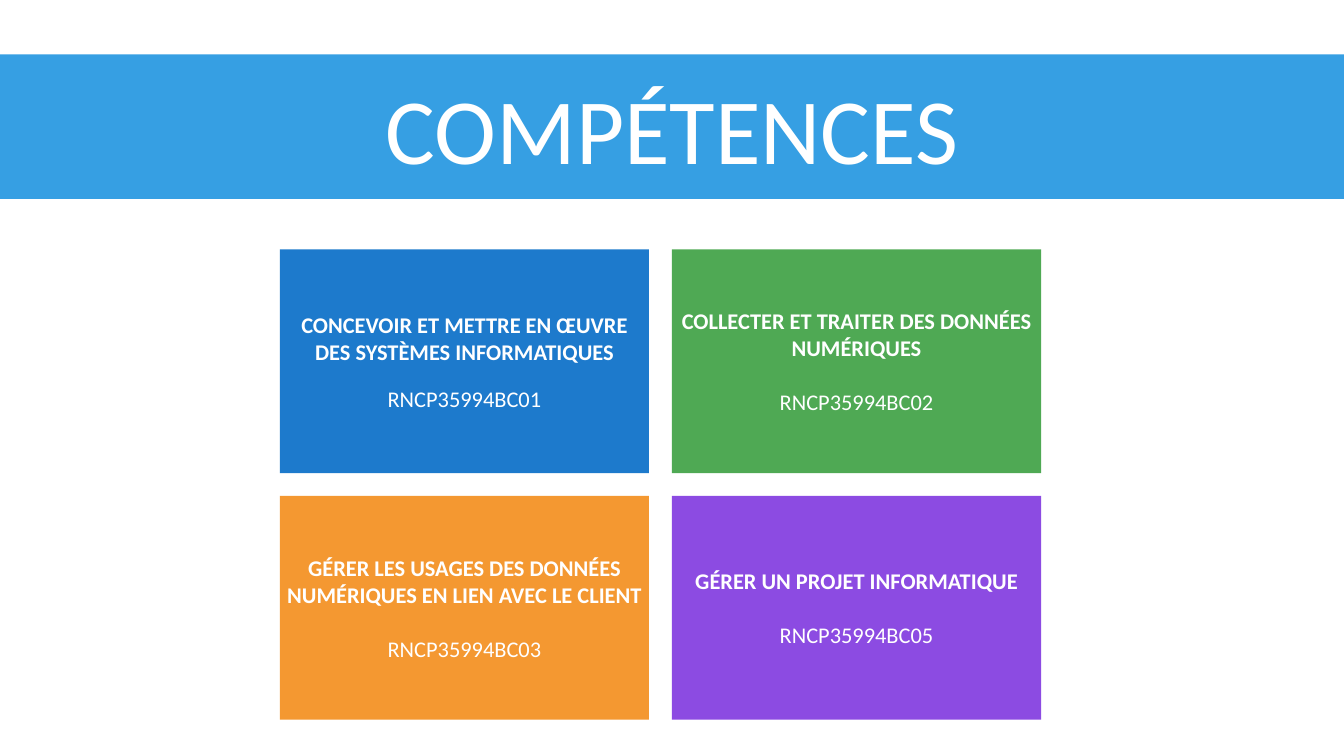
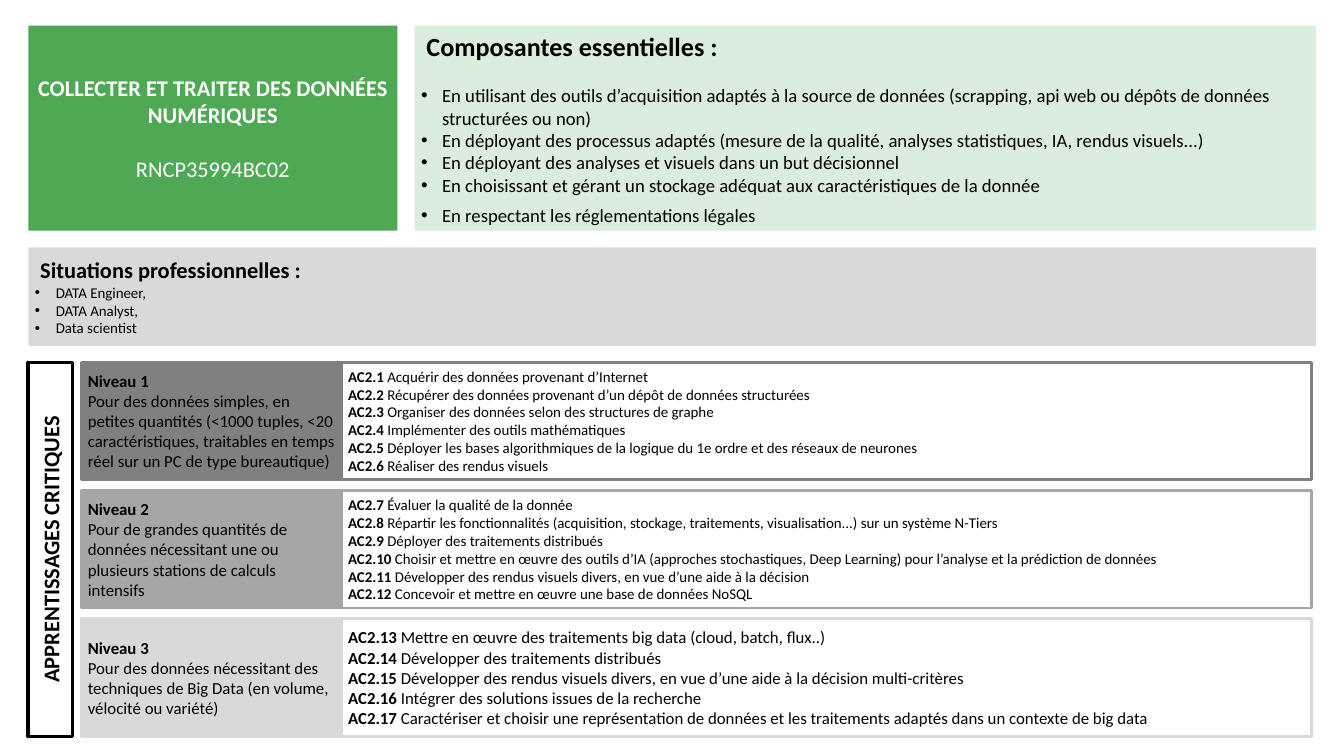
from lxml import etree
from pptx import Presentation
from pptx import util as u
from pptx.dml.color import RGBColor
from pptx.enum import shapes, text
from pptx.oxml import ns

FONT = "Calibri"
WHITE, BLACK = "FFFFFF", "000000"
BAND, BLUE, GREEN, ORANGE, PURPLE = "369FE3", "1D7ACC", "4FA954", "F49831", "8C4BE2"
DARK_GREY, MID_GREY, LIGHT_GREY = "808080", "A6A6A6", "D9D9D9"
CARD_WIDTH = 13.95
MARGIN = 1.07

COLLECT = ("COLLECTER ET TRAITER DES DONNÉES NUMÉRIQUES", "RNCP35994BC02", GREEN, 29)
SKILLS = [
    ("CONCEVOIR ET METTRE EN ŒUVRE DES SYSTÈMES INFORMATIQUES", "RNCP35994BC01", BLUE, 22),
    COLLECT,
    ("GÉRER LES USAGES DES DONNÉES NUMÉRIQUES EN LIEN AVEC LE CLIENT", "RNCP35994BC03", ORANGE, 29),
    ("GÉRER UN PROJET INFORMATIQUE", "RNCP35994BC05", PURPLE, 29),
]
COMPONENTS = [
    "En utilisant des outils d’acquisition adaptés à la source de données (scrapping, api web ou dépôts de données structurées ou non)",
    "En déployant des processus adaptés (mesure de la qualité, analyses statistiques, IA, rendus visuels...)",
    "En déployant des analyses et visuels dans un but décisionnel",
    "En choisissant et gérant un stockage adéquat aux caractéristiques de la donnée",
    "En respectant les réglementations légales",
]
JOBS = ["DATA Engineer,", "DATA Analyst,", "Data scientist"]
LEVELS = [
    (DARK_GREY, 16, "Pour des données simples, en petites quantités (<1000 tuples, <20 caractéristiques, traitables en temps réel sur un PC de type bureautique)", [
        "Acquérir des données provenant d’Internet",
        "Récupérer des données provenant d’un dépôt de données structurées",
        "Organiser des données selon des structures de graphe",
        "Implémenter des outils mathématiques",
        "Déployer les bases algorithmiques de la logique du 1e ordre et des réseaux de neurones",
        "Réaliser des rendus visuels",
    ]),
    (MID_GREY, 16, "Pour de grandes quantités de données nécessitant une ou plusieurs stations de calculs intensifs", [
        "Évaluer la qualité de la donnée",
        "Répartir les fonctionnalités (acquisition, stockage, traitements, visualisation...) sur un système N-Tiers",
        "Déployer des traitements distribués",
        "Choisir et mettre en œuvre des outils d’IA (approches stochastiques, Deep Learning) pour l’analyse et la prédiction de données",
        "Développer des rendus visuels divers, en vue d’une aide à la décision",
        "Concevoir et mettre en œuvre une base de données NoSQL",
    ]),
    (LIGHT_GREY, 18, "Pour des données nécessitant des techniques de Big Data (en volume, vélocité ou variété)", [
        "Mettre en œuvre des traitements big data (cloud, batch, flux..)",
        "Développer des traitements distribués",
        "Développer des rendus visuels divers, en vue d’une aide à la décision multi-critères",
        "Intégrer des solutions issues de la recherche",
        "Caractériser et choisir une représentation de données et les traitements adaptés dans un contexte de big data",
    ]),
]


def color(value):
    """Turn a hex string into a colour."""
    return RGBColor.from_string(value)


class Deck:
    """Hold the shared style and the current slide."""

    def __init__(self):
        """Start a presentation in its wide format."""
        self.presentation = Presentation()
        self.presentation.slide_width = u.Cm(50.8)
        self.presentation.slide_height = u.Cm(28.58)
        self.slide = None

    def new_slide(self):
        """Add a blank slide and make it current."""
        self.slide = self.presentation.slides.add_slide(self.presentation.slide_layouts[6])

    def box(self, left, top, width, height, fill, line=None, line_width=3, opacity=None):
        """Draw a rectangle ready for text."""
        shape = self.slide.shapes.add_shape(
            shapes.MSO_SHAPE.RECTANGLE, u.Cm(left), u.Cm(top), u.Cm(width), u.Cm(height))
        shape.shadow.inherit = False
        shape.fill.solid()
        shape.fill.fore_color.rgb = color(fill)
        if opacity:
            tint = shape.element.spPr.find(".//" + ns.qn("a:srgbClr"))
            etree.SubElement(tint, ns.qn("a:alpha"), val=str(opacity * 1000))
        if line:
            shape.line.color.rgb = color(line)
            shape.line.width = u.Pt(line_width)
        else:
            shape.line.fill.background()
        shape.text_frame.word_wrap = True
        shape.text_frame.vertical_anchor = text.MSO_ANCHOR.MIDDLE
        return shape

    def add_text(self, shape, content, size, bold=False, ink=BLACK, centred=False,
                 before=0, indent=0, bullet=False, lead=""):
        """Add one paragraph, with an optional bold lead, to a shape."""
        frame = shape.text_frame
        paragraph = frame.add_paragraph() if frame.text else frame.paragraphs[0]
        paragraph.alignment = text.PP_ALIGN.CENTER if centred else text.PP_ALIGN.LEFT
        if before:
            paragraph.space_before = u.Pt(before)
        properties = paragraph._p.get_or_add_pPr()
        if indent:
            properties.set("marL", str(u.Cm(indent)))
        if bullet:
            properties.set("indent", str(-u.Cm(indent)))
            etree.SubElement(properties, ns.qn("a:buFont"), typeface="Arial")
            etree.SubElement(properties, ns.qn("a:buChar"), char="•")
        for part, heavy in ((lead, True), (content, bold)):
            if part:
                run = paragraph.add_run()
                run.text = part
                run.font.name = FONT
                run.font.size = u.Pt(size)
                run.font.bold = heavy
                run.font.color.rgb = color(ink)

    def bullets(self, shape, items, size, before=0):
        """Add a bulleted list under a heading."""
        for index, item in enumerate(items):
            self.add_text(shape, item, size, before=0 if index else before, indent=0.79, bullet=True)

    def card(self, left, top, height, skill):
        """Draw a coloured skill card with its code."""
        name, code, fill, gap = skill
        shape = self.box(left, top, CARD_WIDTH, height, fill)
        self.add_text(shape, name, 24, bold=True, ink=WHITE, centred=True)
        self.add_text(shape, code, 24, ink=WHITE, centred=True, before=gap)

    def level(self, number, top, first, level):
        """Draw a level label and the learning outcomes beside it."""
        fill, size, description, outcomes = level
        height, label_left, label_width, list_width = 4.45, 3.07, 9.84, 36.67
        listing = self.box(label_left + label_width, top, list_width, height, WHITE, fill)
        for index, outcome in enumerate(outcomes, first):
            self.add_text(listing, outcome, size, lead=f"AC2.{index} ")
        label = self.box(label_left, top, label_width, height, fill, fill)
        self.add_text(label, f"Niveau {number}", 18, bold=True)
        self.add_text(label, description, 18)


def skills_slide(deck):
    """Build the overview of the skills."""
    deck.new_slide()
    band = deck.box(0, 2.06, 50.8, 5.46, BAND)
    deck.add_text(band, "COMPÉTENCES", 100, ink=WHITE, centred=True)
    for index, skill in enumerate(SKILLS):
        row, column = divmod(index, 2)
        deck.card(10.58 + column * 14.82, 9.43 + row * 9.32, 8.46, skill)


def collect_slide(deck):
    """Build the detail of the data collection skill."""
    deck.new_slide()
    deck.card(MARGIN, 0.97, 7.75, COLLECT)

    components = deck.box(15.67, 0.97, 34.08, 7.75, GREEN, opacity=20)
    deck.add_text(components, "Composantes essentielles :", 28, bold=True, indent=0.2)
    deck.bullets(components, COMPONENTS, 20, before=24)
    components.text_frame.paragraphs[-1].space_before = u.Pt(8)

    situations = deck.box(MARGIN, 9.35, 48.68, 3.73, LIGHT_GREY)
    deck.add_text(situations, "Situations professionnelles :", 24, bold=True, indent=0.2)
    deck.bullets(situations, JOBS, 16)

    heading = deck.box(-5.17, 19.93, 14.15, 1.68, WHITE, BLACK, 3.75)
    heading.rotation = 270
    deck.add_text(heading, "APPRENTISSAGES CRITIQUES", 24, bold=True, centred=True)

    first = 1
    for index, level in enumerate(LEVELS):
        deck.level(index + 1, 13.69 + index * 4.85, first, level)
        first += len(level[-1])


def main():
    """Build and save the presentation."""
    deck = Deck()
    skills_slide(deck)
    collect_slide(deck)
    deck.presentation.save("out.pptx")


if __name__ == "__main__":
    main()
